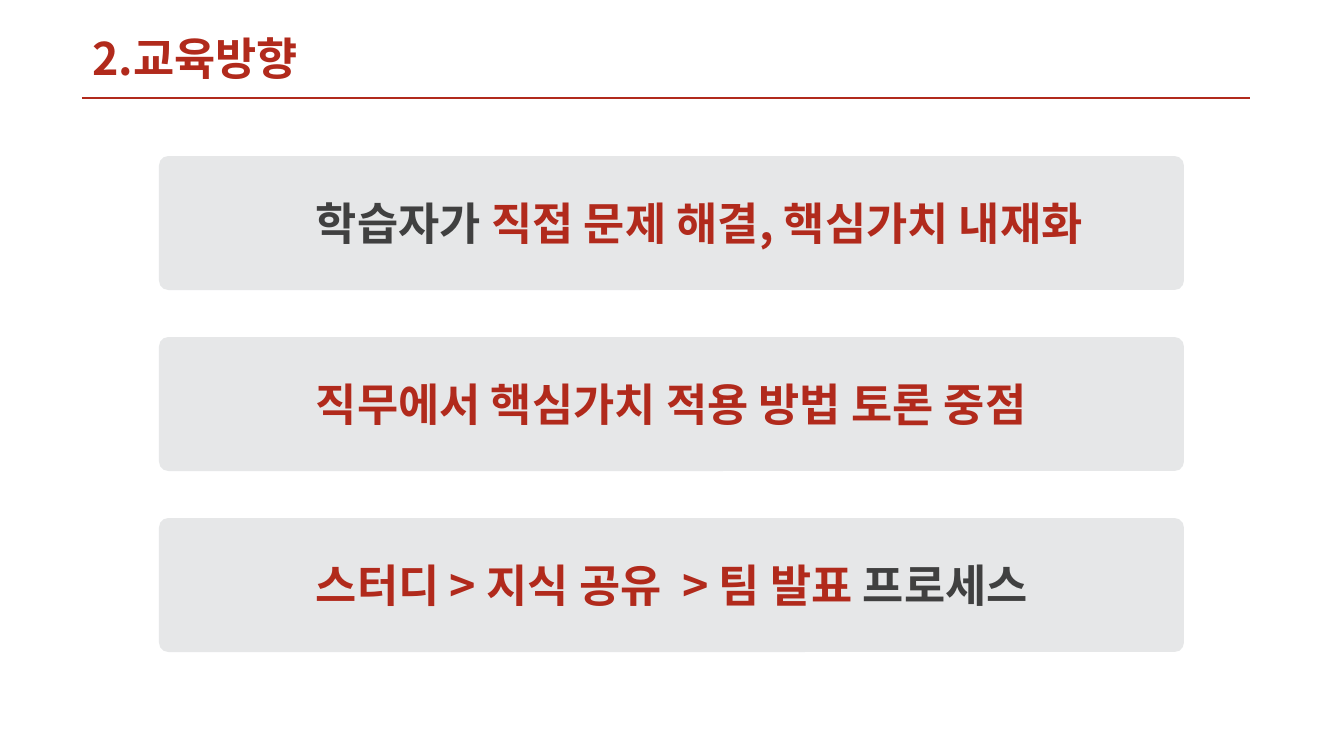
from dataclasses import dataclass

import pptx
import pptx.dml.color
import pptx.enum.shapes
import pptx.enum.text
import pptx.oxml.ns
import pptx.util
from lxml import etree

EMU_PER_PX = 914400 / 100.8


@dataclass(frozen=True)
class Theme:
    accent: str = "B12A1C"
    dark: str = "404040"
    card: str = "E6E7E8"
    font: str = "Noto Sans CJK KR"
    text_pt: int = 32
    rule_pt: float = 1.75


@dataclass(frozen=True)
class Phrase:
    text: str
    color: str


@dataclass(frozen=True)
class Direction:
    phrases: tuple[Phrase, ...]


THEME = Theme()
TITLE = (Phrase("2.교육방향", THEME.accent),)
DIRECTIONS = (
    Direction((Phrase("학습자가 ", THEME.dark),
               Phrase("직접 문제 해결, 핵심가치 내재화", THEME.accent))),
    Direction((Phrase("직무에서 핵심가치 적용 방법 토론 중점", THEME.accent),)),
    Direction((Phrase("스터디 > 지식 공유  > 팀 발표 ", THEME.accent),
               Phrase("프로세스", THEME.dark))),
)
FIRST_CARD_TOP, CARD_STEP = 156, 181
CARD_LEFT, CARD_WIDTH, CARD_HEIGHT = 159, 1025, 134
PHRASE_LEFT, PHRASE_WIDTH, PHRASE_HEIGHT, PHRASE_INSET = 306, 879, 64, 35
TITLE_LEFT, TITLE_TOP, TITLE_WIDTH, TITLE_HEIGHT = 82, 26, 661, 64
RULE_RIGHT, RULE_TOP = 1250, 98

FRAME_FORMAT = {
    "word_wrap": True,
    "auto_size": pptx.enum.text.MSO_AUTO_SIZE.SHAPE_TO_FIT_TEXT,
    "vertical_anchor": pptx.enum.text.MSO_ANCHOR.TOP,
}
FONT_FORMAT = {
    "name": THEME.font,
    "size": pptx.util.Pt(THEME.text_pt),
    "bold": True,
}


def px(length: int) -> pptx.util.Emu:
    return pptx.util.Emu(round(length * EMU_PER_PX))


def rgb(color: str) -> pptx.dml.color.RGBColor:
    return pptx.dml.color.RGBColor.from_string(color)


def apply_format(target: object, values: dict[str, object]) -> None:
    for name, value in values.items():
        setattr(target, name, value)


def write_phrases(frame, phrases: tuple[Phrase, ...]) -> None:
    apply_format(frame, FRAME_FORMAT)
    paragraph = frame.paragraphs[0]
    paragraph.alignment = pptx.enum.text.PP_ALIGN.LEFT
    for phrase in phrases:
        run = paragraph.add_run()
        run.text = phrase.text
        apply_format(run.font, FONT_FORMAT)
        run.font.color.rgb = rgb(phrase.color)
        east_asian = etree.SubElement(run._r.get_or_add_rPr(), pptx.oxml.ns.qn("a:ea"))
        east_asian.set("typeface", THEME.font)


def draw_heading(slide) -> None:
    heading = slide.shapes.title
    apply_format(heading, {
        "left": px(TITLE_LEFT), "top": px(TITLE_TOP),
        "width": px(TITLE_WIDTH), "height": px(TITLE_HEIGHT),
    })
    write_phrases(heading.text_frame, TITLE)
    rule = slide.shapes.add_connector(
        pptx.enum.shapes.MSO_CONNECTOR.STRAIGHT,
        px(TITLE_LEFT), px(RULE_TOP), px(RULE_RIGHT), px(RULE_TOP))
    rule.line.color.rgb = rgb(THEME.accent)
    rule.line.width = pptx.util.Pt(THEME.rule_pt)
    etree.SubElement(rule._element.spPr, pptx.oxml.ns.qn("a:effectLst"))


def draw_direction(slide, direction: Direction, top: int) -> None:
    card = slide.shapes.add_shape(
        pptx.enum.shapes.MSO_SHAPE.ROUNDED_RECTANGLE,
        px(CARD_LEFT), px(top), px(CARD_WIDTH), px(CARD_HEIGHT))
    card.adjustments[0] = 0.07
    card.shadow.inherit = False
    card.fill.solid()
    card.fill.fore_color.rgb = rgb(THEME.card)
    card.line.fill.background()
    statement = slide.shapes.add_textbox(
        px(PHRASE_LEFT), px(top + PHRASE_INSET), px(PHRASE_WIDTH), px(PHRASE_HEIGHT))
    write_phrases(statement.text_frame, direction.phrases)


def main() -> None:
    presentation = pptx.Presentation()
    presentation.slide_width = px(1344)
    presentation.slide_height = px(756)
    slide = presentation.slides.add_slide(presentation.slide_layouts[5])
    draw_heading(slide)
    for index, direction in enumerate(DIRECTIONS):
        draw_direction(slide, direction, FIRST_CARD_TOP + index * CARD_STEP)
    presentation.save("out.pptx")


if __name__ == "__main__":
    main()
